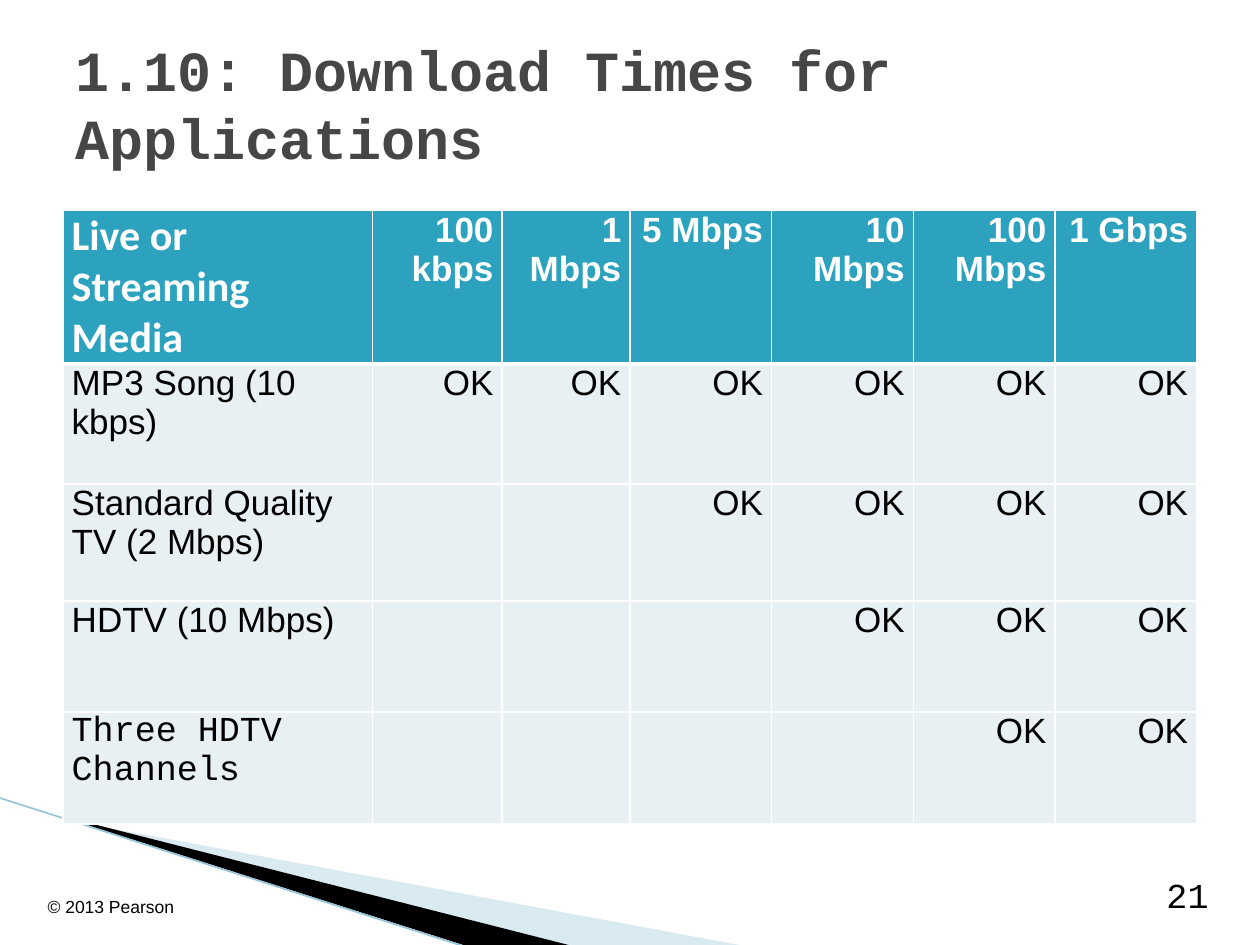
from lxml.etree import SubElement
from pptx import Presentation
from pptx.dml.color import RGBColor
from pptx.enum.shapes import MSO_CONNECTOR
from pptx.enum.text import MSO_ANCHOR, PP_ALIGN
from pptx.oxml.ns import qn
from pptx.util import Pt

COLORS = {
    "head": "2DA2BF", "body": "E8F0F4", "white": "FFFFFF", "black": "000000",
    "title": "464646", "pale": "A0CBDC", "line": "97C5D8",
}
RGB = {name: RGBColor.from_string(code) for name, code in COLORS.items()}


def style(para, text, size, face, color, bold=False, align=PP_ALIGN.LEFT):
    para.text = text
    para.alignment = align
    font = para.font
    font.size, font.name, font.bold = Pt(size), face, bold
    font.color.rgb = RGB[color]


def edge(cell, sides):
    """Draw white cell borders; sides maps a tag to a width in points."""
    props = cell._tc.get_or_add_tcPr()
    for at, (tag, width) in enumerate(sides.items()):
        line = SubElement(props, qn(f"a:{tag}"), w=str(Pt(width)))
        fill = SubElement(line, qn("a:solidFill"))
        SubElement(fill, qn("a:srgbClr"), val=COLORS["white"])
        props.insert(at, line)


prs = Presentation()
prs.slide_width, prs.slide_height = Pt(720), Pt(540)
slide = prs.slides.add_slide(prs.slide_layouts[6])
shapes = slide.shapes

# Corner wedges
wedges = [
    ("pale", 40, [(39.6, 468.7), (428.4, 540.7), (328.3, 540.7), (39.6, 468)]),
    ("black", 100, [(38.2, 467.3), (329, 540.7), (267.8, 541.4), (38.9, 468)]),
]
for color, alpha, points in wedges:
    path = shapes.build_freeform(*points[0], scale=Pt(1))
    path.add_line_segments(points[1:], close=True)
    wedge = path.convert_to_shape()
    wedge.shadow.inherit = False
    wedge.fill.solid()
    wedge.fill.fore_color.rgb = RGB[color]
    wedge.line.fill.background()
    if alpha < 100:
        tint = wedge.fill._xPr.find(".//" + qn("a:srgbClr"))
        SubElement(tint, qn("a:alpha"), val=str(alpha * 1000))

rule = shapes.add_connector(
    MSO_CONNECTOR.STRAIGHT, Pt(-0.7), Pt(455.8), Pt(267.1), Pt(541.4))
rule.line.color.rgb = RGB["line"]
rule.line.width = Pt(0.95)
SubElement(rule._element.spPr, qn("a:effectLst"))

# Download table: each row has OK in its last few columns
heads = ["Live or Streaming Media", "100 kbps", "1 Mbps", "5 Mbps",
         "10 Mbps", "100 Mbps", "1 Gbps"]
media = [("MP3 Song (10 kbps)", 6), ("Standard Quality TV (2 Mbps)", 4),
         ("HDTV (10 Mbps)", 3), ("Three HDTV Channels", 2)]
rows = [heads] + [[name] + [""] * (6 - count) + ["OK"] * count
                  for name, count in media]
widths = [177, 74, 73, 81, 81, 81, 81]
heights = [63.4, 68.4, 67, 63.4, 64]

table = shapes.add_table(len(rows), len(heads), Pt(36), Pt(120.2),
                         Pt(sum(widths)), Pt(sum(heights))).table
table.first_row = table.horz_banding = False
for col, width in zip(table.columns, widths):
    col.width = Pt(width)
for r, (row, height) in enumerate(zip(rows, heights)):
    table.rows[r].height = Pt(height)
    top = r == 0
    for c, text in enumerate(row):
        cell = table.cell(r, c)
        cell.margin_left = cell.margin_right = Pt(5)
        cell.margin_top = cell.margin_bottom = 0
        cell.fill.solid()
        cell.fill.fore_color.rgb = RGB["head" if top else "body"]
        edge(cell, {"lnL": 1, "lnR": 1, "lnT": 3 if r == 1 else 1,
                    "lnB": 3 if top else 1})
        if not text:
            continue
        corner = top and c == 0
        face = ("Calibri" if corner else
                "Courier New" if text.startswith("Three") else "Arial")
        para = cell.text_frame.paragraphs[0]
        style(para, text, 24 if corner else 20, face,
              "white" if top else "black", top,
              PP_ALIGN.RIGHT if c else PP_ALIGN.LEFT)
        if not corner:
            para.space_after = Pt(3)

# Title, page number and copyright line
labels = [
    ((36, 21.6, 648, 74.2), MSO_ANCHOR.MIDDLE,
     ("1.10: Download Times for Applications", 32.4, "Courier New", "title",
      True, PP_ALIGN.LEFT)),
    ((630, 498.2, 67.7, 28.8), MSO_ANCHOR.BOTTOM,
     ("21", 20, "Courier New", "black", False, PP_ALIGN.RIGHT)),
    ((12.2, 499, 102.2, 28.8), MSO_ANCHOR.BOTTOM,
     ("© 2013 Pearson", 10, "Arial", "black", False, PP_ALIGN.CENTER)),
]
for place, anchor, look in labels:
    frame = shapes.add_textbox(*map(Pt, place)).text_frame
    frame.word_wrap = True
    frame.vertical_anchor = anchor
    style(frame.paragraphs[0], *look)

prs.save("out.pptx")
